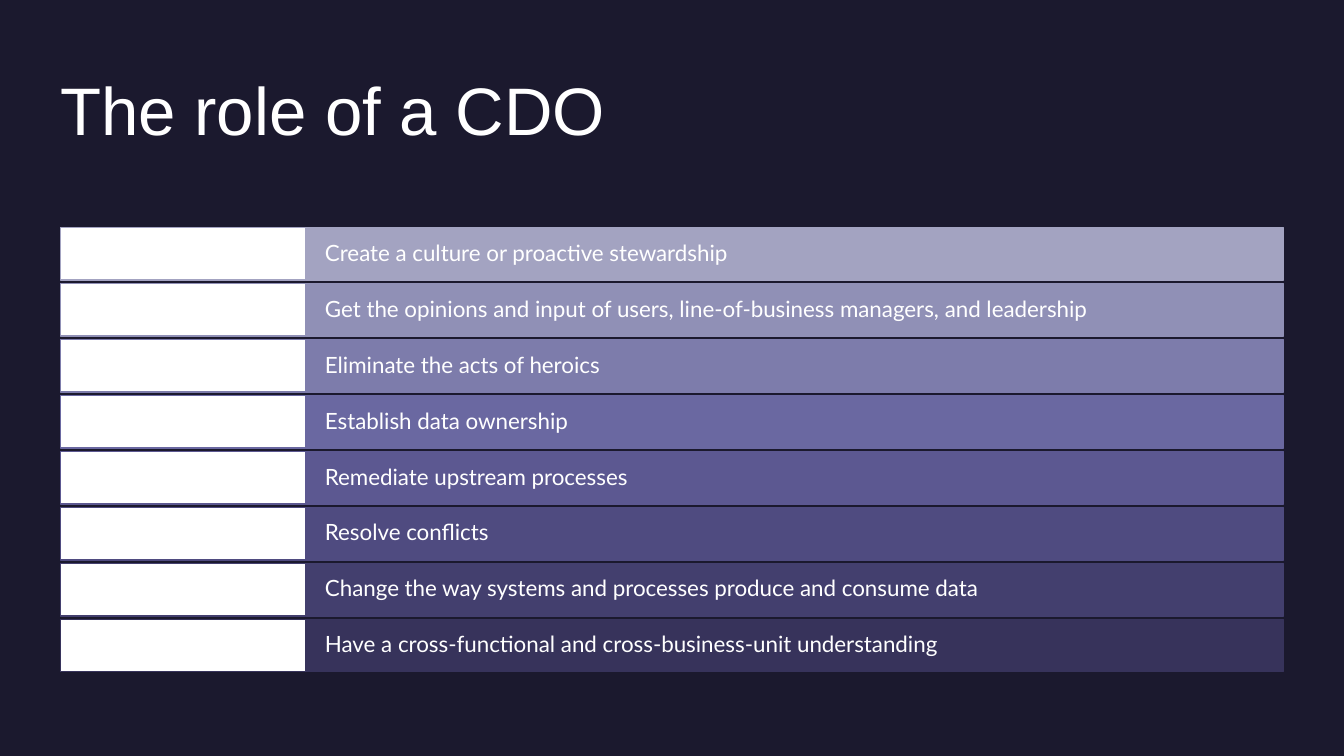
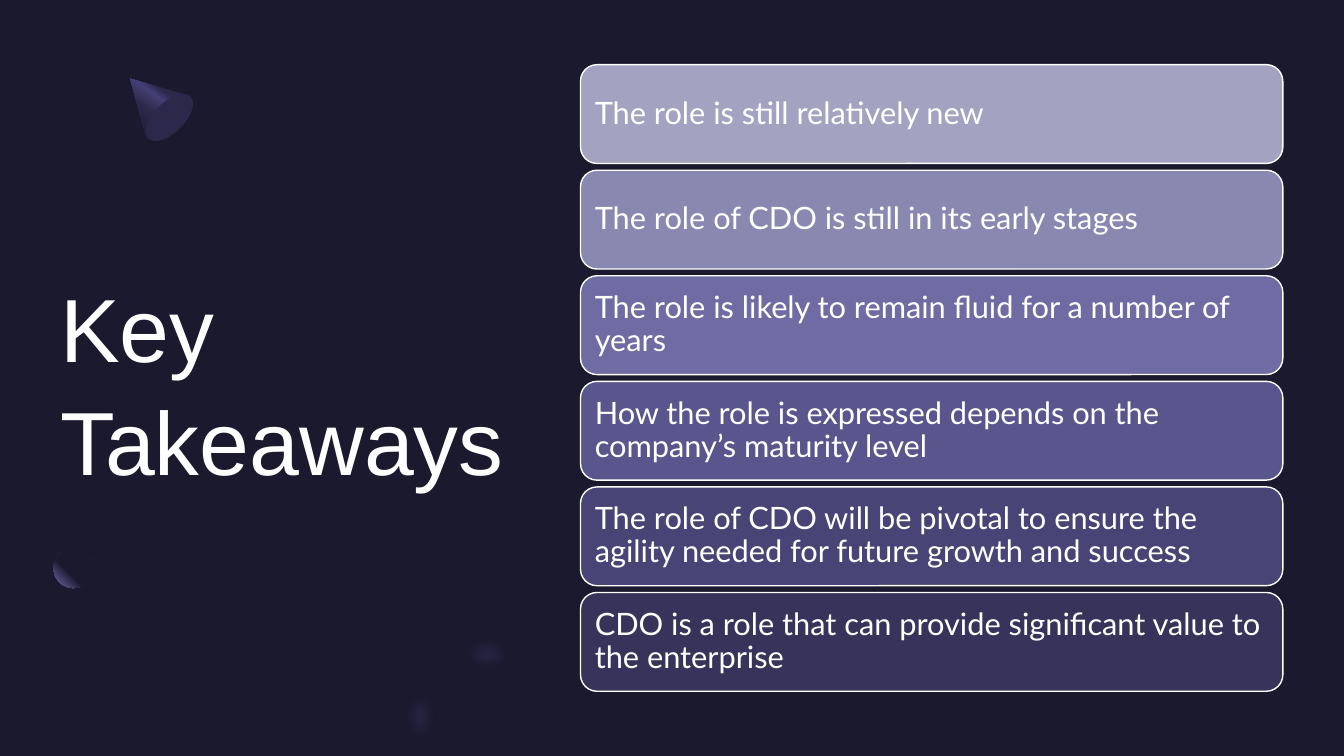
from pptx import Presentation
from pptx.dml.color import RGBColor
from pptx.enum import shapes, text
from pptx.oxml import parse_xml
from pptx.oxml.ns import nsdecls, qn
from pptx.util import Cm, Pt

NIGHT, DUSK, VIOLET, LILAC, WHITE = "1B192E", "2C284A", "454075", "7771B2", "FFFFFF"
LEFT = 1.52
RECTANGLE = shapes.MSO_SHAPE.RECTANGLE
ROUNDED = shapes.MSO_SHAPE.ROUNDED_RECTANGLE
ELLIPSE = shapes.MSO_SHAPE.OVAL

ROLES = [
    ("Create a culture or proactive stewardship", "A3A3C1"),
    ("Get the opinions and input of users, line-of-business managers, and leadership", "9090B6"),
    ("Eliminate the acts of heroics", "7D7CAB"),
    ("Establish data ownership", "6A68A1"),
    ("Remediate upstream processes", "5C5891"),
    ("Resolve conflicts", "4F4B80"),
    ("Change the way systems and processes produce and consume data", "433F6E"),
    ("Have a cross-functional and cross-business-unit understanding", "37335B"),
]
TAKEAWAYS = [
    ("The role is still relatively new", "A3A3C1"),
    ("The role of CDO is still in its early stages", "8988B1"),
    ("The role is likely to remain fluid for a number of years", "6E6CA3"),
    ("How the role is expressed depends on the company’s maturity level", "59568E"),
    ("The role of CDO will be pivotal to ensure the agility needed for future growth and success",
     "484475"),
    ("CDO is a role that can provide significant value to the enterprise", "37335B"),
]


def color(value):
    return RGBColor.from_string(value)


class Builder:
    """Holds the deck, its style and the page being filled."""

    title_font, body_font = "Arial", "Lato"

    def __init__(self):
        self.deck = Presentation()
        self.deck.slide_width, self.deck.slide_height = Cm(33.87), Cm(19.05)
        self.page = None

    def new_page(self):
        self.page = self.deck.slides.add_slide(self.deck.slide_layouts[6])
        background = self.page.background.fill
        background.solid()
        background.fore_color.rgb = color(NIGHT)

    def label(self, box, words, font, size, spacing, inset=(0, 0),
              anchor=text.MSO_ANCHOR.MIDDLE):
        frame = box.text_frame
        frame.text = words
        frame.word_wrap = True
        frame.vertical_anchor = anchor
        frame.margin_left = frame.margin_right = Cm(inset[0])
        frame.margin_top = frame.margin_bottom = Cm(inset[1])
        para = frame.paragraphs[0]
        para.alignment = text.PP_ALIGN.LEFT
        para.line_spacing = spacing
        span = para.runs[0]
        span.font.name, span.font.size = font, Pt(size)
        span.font.color.rgb = color(WHITE)

    def title(self, words, top, width, height, size, spacing, anchor):
        box = self.page.shapes.add_textbox(Cm(LEFT), Cm(top), Cm(width), Cm(height))
        self.label(box, words, self.title_font, size, spacing, anchor=anchor)

    def paint(self, shape, fill=None, line=None):
        shape.shadow.inherit = False
        if fill:
            shape.fill.solid()
            shape.fill.fore_color.rgb = color(fill)
        if line:
            shape.line.color.rgb = color(line)
            shape.line.width = Pt(1)
        else:
            shape.line.fill.background()

    def shape(self, kind, left, top, width, height, fill=None, line=None):
        shape = self.page.shapes.add_shape(kind, Cm(left), Cm(top), Cm(width), Cm(height))
        self.paint(shape, fill, line)
        return shape

    def outline(self, points):
        start, *rest = [(Cm(x), Cm(y)) for x, y in points]
        freeform = self.page.shapes.build_freeform(*start)
        freeform.add_line_segments(rest, close=True)
        shape = freeform.convert_to_shape()
        self.paint(shape)
        return shape

    def gradient(self, shape, stops, direction):
        """Fill with (percent, colour) stops; direction is the a:lin or a:path element."""
        shape.fill.gradient()
        fill = shape._element.spPr.find(qn("a:gradFill"))
        for child in list(fill):
            fill.remove(child)
        marks = "".join(f'<a:gs pos="{percent * 1000}"><a:srgbClr val="{value}"/></a:gs>'
                        for percent, value in stops)
        fill.append(parse_xml(f'<a:gsLst {nsdecls("a")}>{marks}</a:gsLst>'))
        fill.append(parse_xml(direction))

    def glow(self, left, top, width, height):
        """Add an ellipse whose edge fades into the page."""
        ellipse = self.shape(ELLIPSE, left, top, width, height, DUSK)
        effects = ellipse._element.spPr.find(qn("a:effectLst"))
        effects.append(parse_xml(f'<a:softEdge {nsdecls("a")} rad="{Cm(0.3)}"/>'))

    def cone(self):
        body = self.outline([(3.28, 1.98), (4.7, 2.39), (4.8, 2.46), (3.73, 3.5), (3.68, 3.43)])
        self.gradient(body, [(30, DUSK), (40, VIOLET), (60, DUSK), (100, NIGHT)],
                      f'<a:lin {nsdecls("a")} ang="{125 * 60000}" scaled="0"/>')
        base = self.shape(ELLIPSE, 3.89, 2.21, 0.76, 1.5, DUSK)
        base.rotation = 45

    def sphere(self):
        ball = self.shape(ELLIPSE, 1.35, 13.82, 1, 1)
        self.gradient(ball, [(60, NIGHT), (100, LILAC)],
                      f'<a:path {nsdecls("a")} path="circle">'
                      '<a:fillToRect l="100000" b="100000"/></a:path>')

    def role_rows(self, roles):
        for index, (words, shade) in enumerate(roles):
            top = 5.74 + 1.41 * index
            bar = self.shape(RECTANGLE, 7.7, top, 24.64, 1.32, shade, shade)
            self.label(bar, words, self.body_font, 16, 0.9, (0.49, 0.33))
            self.shape(RECTANGLE, LEFT, top, 6.18, 1.32, WHITE, shade)

    def takeaway_cards(self, takeaways):
        for index, (words, shade) in enumerate(takeaways):
            card = self.shape(ROUNDED, 14.63, 1.63 + 2.66 * index, 17.7, 2.49, shade, WHITE)
            # A rounded rectangle already insets its text by its corners.
            self.label(card, words, self.body_font, 22, 0.9, (0.24, 0.24))


def main():
    builder = Builder()

    builder.new_page()
    builder.title("The role of a CDO", 1.52, 30.82, 3.71, 48, 1.1, text.MSO_ANCHOR.TOP)
    builder.role_rows(ROLES)

    builder.new_page()
    builder.title("Key Takeaways", 4.35, 12.6, 10.5, 64, 1.05, text.MSO_ANCHOR.MIDDLE)
    builder.cone()
    builder.sphere()
    builder.glow(11.37, 15.98, 1.8, 1)
    builder.glow(10.1, 17.17, 1, 1.8)
    builder.takeaway_cards(TAKEAWAYS)

    builder.deck.save("out.pptx")


if __name__ == "__main__":
    main()
